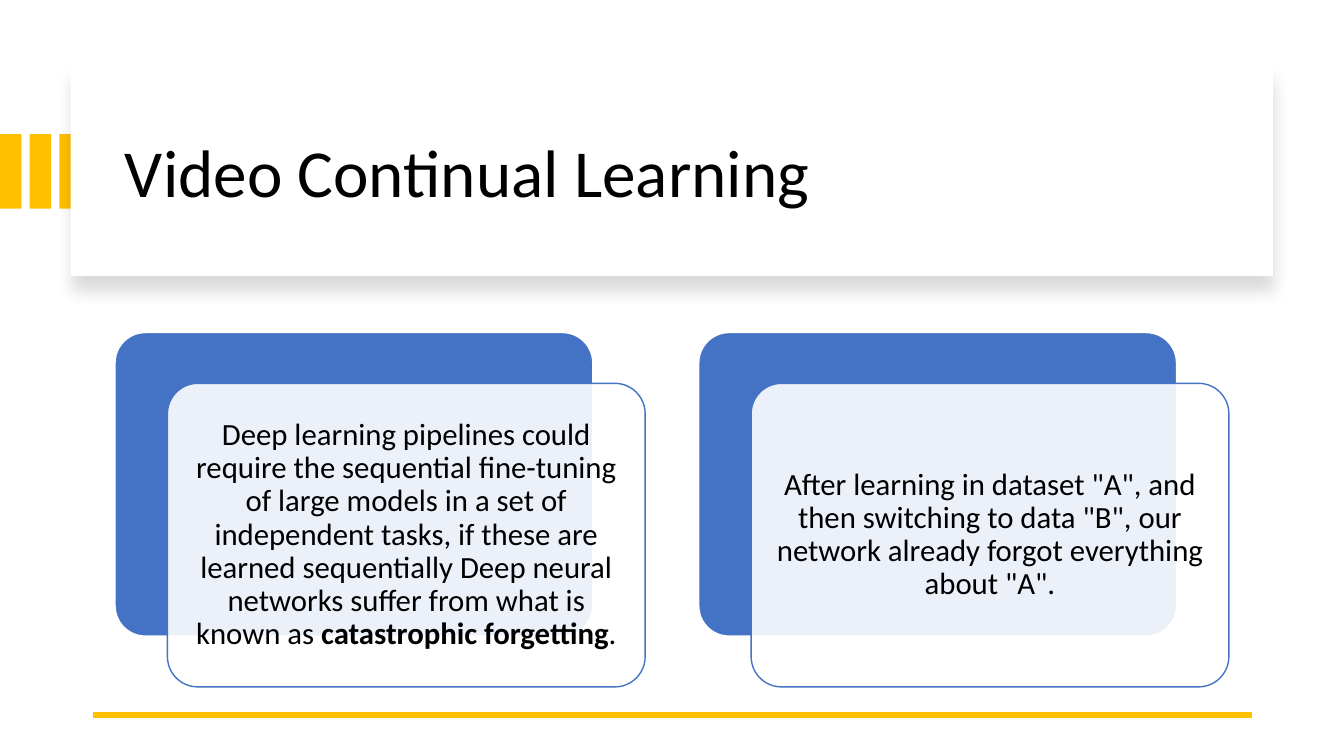
"""Build the Video Continual Learning slide."""
from lxml import etree
from pptx import Presentation
from pptx import util as u
from pptx.dml.color import RGBColor
from pptx.enum import shapes, text
from pptx.oxml.ns import qn

GOLD, BLUE, WHITE, BLACK = "FFC000", "4472C4", "FFFFFF", "000000"
RECT = shapes.MSO_SHAPE.RECTANGLE
ROUNDED = shapes.MSO_SHAPE.ROUNDED_RECTANGLE

TITLE = "Video Continual Learning"
POINTS = [
    [("Deep learning pipelines could require the sequential fine-tuning of large "
      "models in a set of independent tasks, if these are learned sequentially "
      "Deep neural networks suffer from what is known as ", False),
     ("catastrophic forgetting", True),
     (".", False)],
    [("After learning in dataset \"A\", and then switching to data \"B\", our "
      "network already forgot everything about \"A\".", False)],
]


def paint(color_format, value):
    """Set a colour from a hex string."""
    color_format.rgb = RGBColor.from_string(value)


def add_box(slide, kind, left, top, width, height, fill, line=None):
    """Add a filled shape, with lengths in centimetres."""
    box = slide.shapes.add_shape(kind, u.Cm(left), u.Cm(top), u.Cm(width), u.Cm(height))
    box.shadow.inherit = False
    box.fill.solid()
    paint(box.fill.fore_color, fill)
    if line:
        paint(box.line.color, line)
        box.line.width = u.Pt(1)
    else:
        box.line.fill.background()
    return box


def set_opacity(box, percent):
    """Make the solid fill of a shape partly transparent."""
    tint = box.fill._xPr.find(qn("a:solidFill"))[0]
    etree.SubElement(tint, qn("a:alpha"), val=str(percent * 1000))


def cast_shadow(box, blur, distance, percent):
    """Give a shape a soft shadow that falls straight down."""
    effects = box._element.spPr.find(qn("a:effectLst"))
    shadow = etree.SubElement(
        effects, qn("a:outerShdw"), blurRad=str(u.Pt(blur)),
        dist=str(u.Pt(distance)), dir="5400000", algn="t", rotWithShape="0")
    tint = etree.SubElement(shadow, qn("a:srgbClr"), val=BLACK)
    etree.SubElement(tint, qn("a:alpha"), val=str(percent * 1000))


def write(frame, runs, size, align):
    """Write one paragraph, run by run, centred vertically."""
    frame.word_wrap = True
    frame.vertical_anchor = text.MSO_ANCHOR.MIDDLE
    paragraph = frame.paragraphs[0]
    paragraph.alignment = align
    paragraph.line_spacing = 0.9
    for words, bold in runs:
        run = paragraph.add_run()
        run.text = words
        run.font.name = "Calibri"
        run.font.size = u.Pt(size)
        run.font.bold = bold
        paint(run.font.color, BLACK)


def add_header(slide):
    """Add the gold stripes, the raised panel and the title."""
    for index in range(3):
        add_box(slide, RECT, index * 0.75, 3.38, 0.54, 1.88, GOLD)
    panel = add_box(slide, RECT, 1.78, 1.7, 30.3, 5.26, WHITE)
    cast_shadow(panel, blur=11, distance=10, percent=15)
    title = slide.shapes.add_textbox(u.Cm(2.9), u.Cm(2.26), u.Cm(28.27), u.Cm(4.32))
    write(title.text_frame, [(TITLE, False)], 48, text.PP_ALIGN.LEFT)


def add_rule(slide):
    """Add the gold rule at the foot of the slide."""
    rule = slide.shapes.add_connector(
        shapes.MSO_CONNECTOR.STRAIGHT, u.Cm(31.55), u.Cm(18.01), u.Cm(2.34), u.Cm(18.01))
    paint(rule.line.color, GOLD)
    rule.line.width = u.Pt(4.5)
    etree.SubElement(rule._element.spPr, qn("a:effectLst"))


def add_card(slide, left, runs):
    """Add a blue card with a translucent text card laid over it."""
    top, width, height = 8.38, 12.04, 7.65
    back = add_box(slide, ROUNDED, left, top, width, height, BLUE, WHITE)
    front = add_box(slide, ROUNDED, left + 1.32, top + 1.28, width, height, WHITE, BLUE)
    set_opacity(front, 90)
    for card in (back, front):
        card.adjustments[0] = 0.1
    frame = front.text_frame
    frame.margin_left = frame.margin_right = u.Cm(0.23)
    frame.margin_top = frame.margin_bottom = u.Cm(0.23)
    write(frame, runs, 22, text.PP_ALIGN.CENTER)


def main():
    """Build and save the slide."""
    deck = Presentation()
    deck.slide_width, deck.slide_height = u.Cm(33.87), u.Cm(19.05)
    slide = deck.slides.add_slide(deck.slide_layouts[6])
    add_header(slide)
    add_rule(slide)
    for index, runs in enumerate(POINTS):
        add_card(slide, 2.9 + index * 14.71, runs)
    deck.save("out.pptx")


if __name__ == "__main__":
    main()
